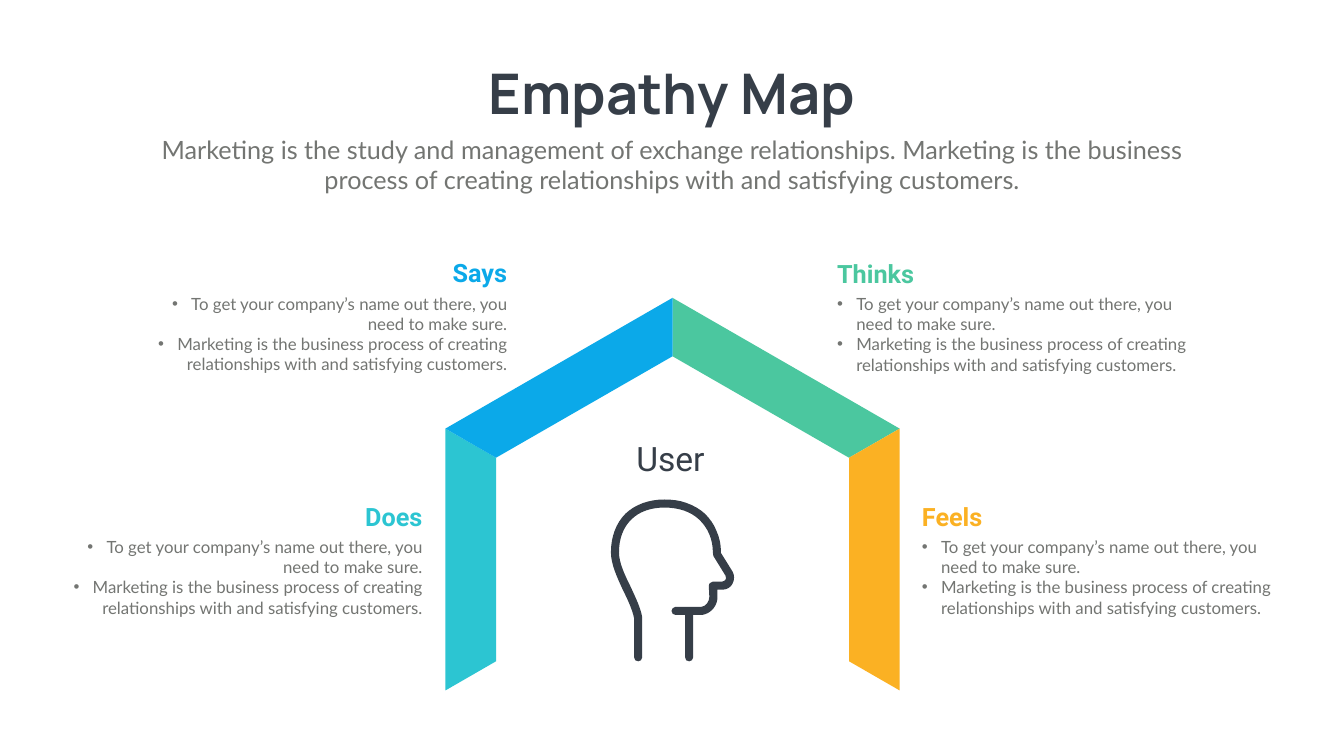
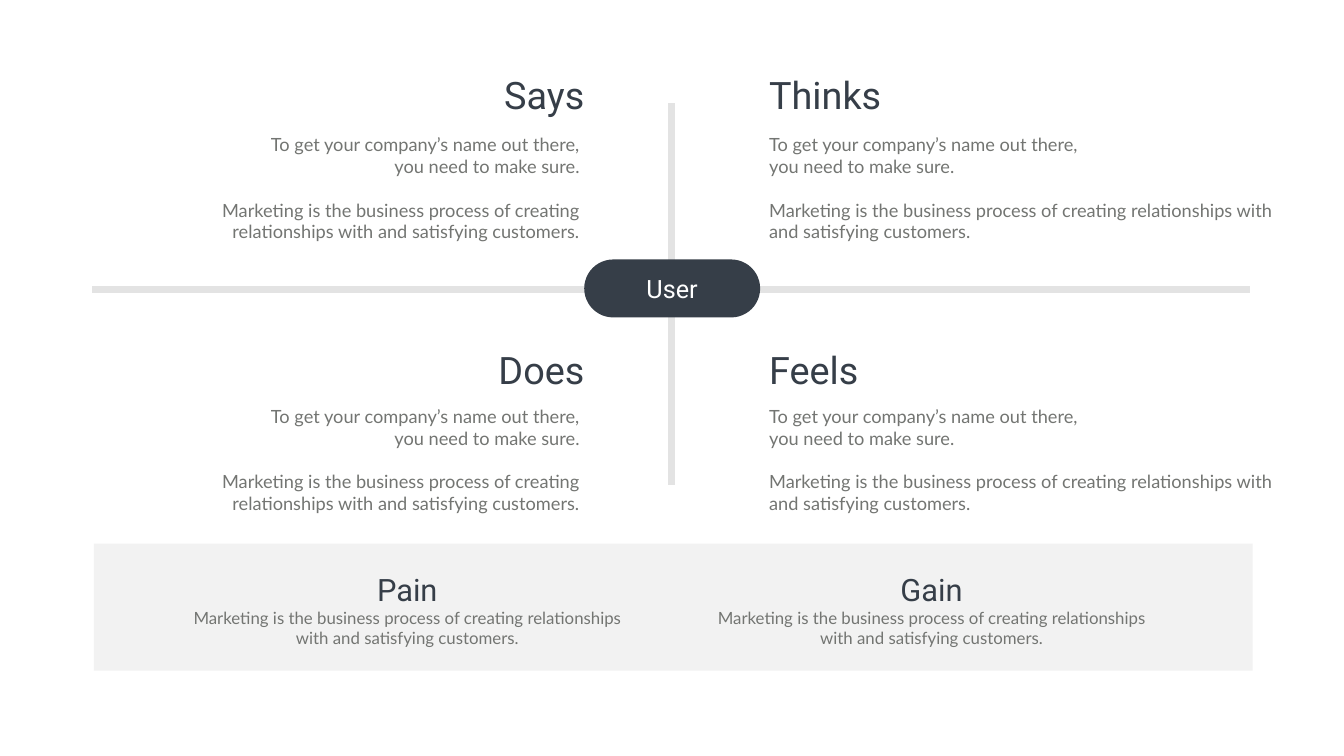
"""Build two empathy map slides: a house of four beams and a four-quadrant board."""
from lxml.etree import Element, SubElement
from pptx import Presentation
from pptx.dml.color import RGBColor
from pptx.enum.shapes import MSO_CONNECTOR as Connector, MSO_SHAPE as Shape
from pptx.enum.text import MSO_AUTO_SIZE as AutoSize, PP_ALIGN as Align
from pptx.oxml.ns import qn
from pptx.util import Inches, Pt

COLORS = {
    "ink": "363E48", "body": "737572", "rule": "E3E3E3", "band": "F2F2F2", "white": "FFFFFF",
    "says": "0BA9E9", "thinks": "4BC79F", "does": "2CC5D2", "feels": "FBB123",
}
RGB = {role: RGBColor.from_string(value) for role, value in COLORS.items()}
PCT_W, PCT_H = Inches(26.66) / 100, Inches(15) / 100
LEFT, CENTER, RIGHT = Align.LEFT, Align.CENTER, Align.RIGHT

NAME_LINES = ["To get your company’s name out there,", "you need to make sure."]
MARKETING = "Marketing is the business process of creating relationships with and satisfying customers."


def write(slide, text, left, top, width, height, size, color="ink", font="Roboto",
          align=LEFT, bold=False, wrap=True, bullets=False, last_gap=0):
    """Write one string or a list of paragraphs in a box given in percent of the slide."""
    box = slide.shapes.add_textbox(round(left * PCT_W), round(top * PCT_H),
                                   round(width * PCT_W), round(height * PCT_H))
    frame = box.text_frame
    frame.word_wrap = wrap
    frame.auto_size = AutoSize.SHAPE_TO_FIT_TEXT
    lines = [text] if isinstance(text, str) else text
    for number, line in enumerate(lines):
        paragraph = frame.add_paragraph() if number else frame.paragraphs[0]
        paragraph.alignment = align
        if last_gap and number == len(lines) - 1:
            paragraph.space_before = Pt(last_gap)
        if bullets:
            properties = paragraph._p.get_or_add_pPr()
            properties.set("marL", str(Inches(0.38)))
            properties.set("indent", str(-Inches(0.38)))
            SubElement(properties, qn("a:buFont")).set("typeface", "Arial")
            SubElement(properties, qn("a:buChar")).set("char", "•")
        run = paragraph.add_run()
        run.text = line
        run.font.name, run.font.size, run.font.bold = font, Pt(size), bold
        run.font.color.rgb = RGB[color]


def outline(slide, steps, color):
    """Fill a closed outline; a step holds one point, or a curve's two controls and its end."""
    steps = [[(round(x * PCT_W), round(y * PCT_H)) for x, y in step] for step in steps]
    builder = slide.shapes.build_freeform(*steps[0][-1])
    builder.add_line_segments([step[-1] for step in steps[1:]], close=True)
    form = builder.convert_to_shape()
    form.shadow.inherit = False
    form.fill.solid()
    form.fill.fore_color.rgb = RGB[color]
    form.line.fill.background()
    segments = list(form._element.iter(qn("a:lnTo")))
    for step, segment in zip(steps[1:], segments):
        if len(step) == 3:
            segment.tag = qn("a:cubicBezTo")
            for order, (x, y) in enumerate(step[:2]):
                control = Element(qn("a:pt"), x=str(x - form.left), y=str(y - form.top))
                segment.insert(order, control)


deck = Presentation()
deck.slide_width, deck.slide_height = Inches(26.66), Inches(15)
blank = deck.slide_layouts[6]

house = deck.slides.add_slide(blank)
write(house, "Empathy Map", 34.55, 7.47, 30.91, 9.67, 80, font="Manrope",
      align=CENTER, bold=True, wrap=False)
write(house, "Marketing is the study and management of exchange relationships. " + MARKETING,
      10.95, 17.4, 78.1, 8.73, 36, "body", "Lato", CENTER)

AXIS, OUTER, INNER = 50.04, 16.9, 13.13
wall = [(OUTER, 56.7), (INNER, 60.55), (INNER, 87.47), (OUTER, 91.33)]
roof = [(0, 39.4), (OUTER, 56.7), (INNER, 60.55), (0, 47.13)]
for side, beam, color in [(-1, wall, "does"), (1, roof, "thinks"),
                          (1, wall, "feels"), (-1, roof, "says")]:
    outline(house, [[(AXIS + side * x, y)] for x, y in beam], color)

for topic, offset, top, align in [("Says", 11.9, 33.75, RIGHT), ("Does", 18.2, 65.95, RIGHT),
                                  ("Thinks", 11.92, 33.8, LEFT), ("Feels", 18.23, 65.95, LEFT)]:
    body_left = heading_left = 50 + offset
    if align == RIGHT:
        body_left, heading_left = 50 - offset - 27.16, 50 - offset - 12.23
    write(house, [" ".join(NAME_LINES), MARKETING], body_left, top + 4.73, 27.16, 11.47, 24,
          "body", "Lato", align, bullets=True)
    write(house, topic, heading_left, top, 12.23, 4.73, 36, topic.lower(), align=align, bold=True)
write(house, "User", 43.77, 57.6, 12.23, 6.07, 48, align=CENTER)

HEAD_STEPS = [
    (242, 167), (238, 175, 230, 179, 221, 179), (212, 179), (212, 192),
    (213, 210, 200, 226, 182, 229), (164, 229), (164, 313),
    (164, 318, 160, 321, 156, 321), (151, 321, 148, 318, 148, 313), (148, 229), (129, 229),
    (125, 229, 121, 226, 121, 221), (121, 217, 125, 213, 129, 213), (180, 213),
    (189, 212, 196, 203, 196, 193), (195, 172), (195, 169, 196, 167, 197, 166),
    (199, 164, 201, 163, 203, 163), (221, 163), (225, 163, 227, 160, 228, 159),
    (229, 158, 230, 155, 228, 151), (204, 112), (203, 110, 202, 108, 203, 105),
    (203, 79, 193, 56, 176, 40), (168, 32, 157, 26, 146, 22), (134, 18, 121, 16, 107, 16),
    (80, 16, 57, 24, 41, 40), (25, 56, 17, 78, 17, 105), (17, 125, 28, 149, 40, 173),
    (50, 195, 60, 215, 63, 234), (63, 313), (63, 318, 59, 321, 55, 321),
    (50, 321, 47, 318, 47, 313), (47, 236), (44, 220, 35, 200, 25, 180),
    (13, 154, 1, 128, 1, 105), (1, 74, 11, 47, 30, 28), (49, 10, 76, 0, 107, 0),
    (123, 0, 138, 2, 151, 7), (165, 12, 177, 19, 187, 28), (197, 38, 205, 49, 210, 62),
    (216, 75, 219, 89, 219, 106), (242, 143), (246, 150, 246, 159, 242, 167),
]
outline(house, [[(45.42 + x * 9.2 / 245, 66.07 + y * 21.47 / 322)
                 for x, y in zip(step[::2], step[1::2])] for step in HEAD_STEPS], "ink")

board = deck.slides.add_slide(blank)
for x1, y1, x2, y2 in [(92.99, 38.23, 6.83, 38.23), (49.98, 13.67, 49.98, 64.2)]:
    rule = board.shapes.add_connector(Connector.STRAIGHT, round(x1 * PCT_W), round(y1 * PCT_H),
                                      round(x2 * PCT_W), round(y2 * PCT_H))
    rule.line.color.rgb = RGB["rule"]
    rule.line.width = Pt(10)
    SubElement(rule._element.spPr, qn("a:effectLst"))

for kind, left, top, width, height, color in [
        (Shape.ROUNDED_RECTANGLE, 43.47, 34.32, 13.09, 7.67, "ink"),
        (Shape.RECTANGLE, 6.98, 71.92, 86.23, 16.8, "band")]:
    panel = board.shapes.add_shape(kind, round(left * PCT_W), round(top * PCT_H),
                                   round(width * PCT_W), round(height * PCT_H))
    panel.shadow.inherit = False
    panel.fill.solid()
    panel.fill.fore_color.rgb = RGB[color]
    panel.line.fill.background()
    if kind == Shape.ROUNDED_RECTANGLE:
        panel.adjustments[0] = 0.5
write(board, "User", 43.44, 35.8, 13.13, 4.73, 36, "white", align=CENTER)

for topics, heading_left, body_left, body_width, align in [
        (("Says", "Does"), 31.62, 14.29, 29.22, RIGHT),
        (("Thinks", "Feels"), 56.86, 56.86, 38.26, LEFT)]:
    for topic, heading_top, body_top in zip(topics, (9.2, 45.53), (17.31, 53.28)):
        write(board, topic, heading_left, heading_top, 12.23, 6.73, 54, align=align)
        write(board, NAME_LINES + [MARKETING], body_left, body_top, body_width, 15.27, 26,
              "body", "Lato", align, last_gap=31.2)

for column, topic in enumerate(["Pain", "Gain"]):
    shift = column * 39.01
    write(board, topic, 23.74 + shift, 75.2, 13.13, 5.6, 44, align=CENTER)
    write(board, MARKETING, 13.65 + shift, 80, 33.31, 6.07, 24, "body", "Lato", CENTER)

deck.save("out.pptx")
